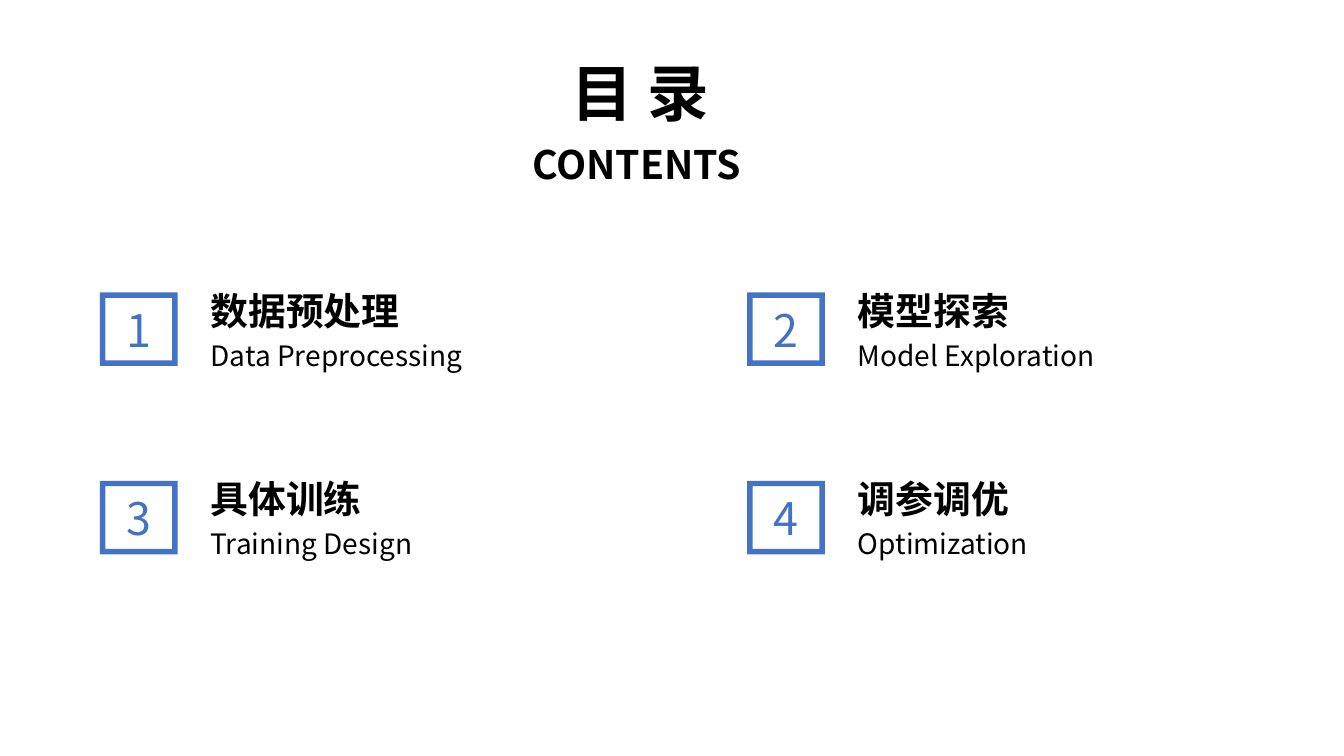
from lxml.etree import SubElement
from pptx import Presentation
from pptx.dml.color import RGBColor
from pptx.enum.shapes import MSO_SHAPE
from pptx.enum.text import MSO_ANCHOR, MSO_AUTO_SIZE, PP_ALIGN
from pptx.oxml.ns import qn
from pptx.util import Inches, Pt

COLORS = {"text": "000000", "accent": "4472C4"}
SANS, SERIF = "Noto Sans CJK SC", "Times New Roman"


class Deck:
    """Style and current slide; lengths are percentages of the slide's size."""

    def __init__(self, prs):
        self.prs = prs
        self.s = prs.slides.add_slide(prs.slide_layouts[6])

    def box(self, x, y, w, h):
        width, height = self.prs.slide_width, self.prs.slide_height
        return [round(share * side / 100) for share, side in
                ((x, width), (y, height), (w, width), (h, height))]

    def set_text(self, tf, text, size, color="text", font=SANS, bold=False):
        tf.text = text
        r = tf.paragraphs[0].runs[0]
        r.font.size, r.font.bold, r.font.name = Pt(size), bold, font
        r.font.color.rgb = RGBColor.from_string(COLORS[color])
        SubElement(r.font._element, qn("a:ea")).set("typeface", SANS)

    def label(self, x, y, w, h, text, size, **style):
        tf = self.s.shapes.add_textbox(*self.box(x, y, w, h)).text_frame
        self.set_text(tf, text, size, **style)
        tf.word_wrap = False
        tf.auto_size = MSO_AUTO_SIZE.SHAPE_TO_FIT_TEXT

    def number_frame(self, x, y, w, h, text):
        sp = self.s.shapes.add_shape(MSO_SHAPE.FRAME, *self.box(x, y, w, h))
        sp.adjustments[0] = 0.074
        sp.shadow.inherit = False
        sp.fill.solid()
        sp.fill.fore_color.rgb = RGBColor.from_string(COLORS["accent"])
        sp.line.fill.background()
        tf = sp.text_frame
        self.set_text(tf, text, 32, color="accent")
        tf.vertical_anchor = MSO_ANCHOR.MIDDLE
        tf.paragraphs[0].alignment = PP_ALIGN.CENTER


def main():
    prs = Presentation()
    prs.slide_width, prs.slide_height = Inches(13.33), Inches(7.5)
    deck = Deck(prs)
    deck.label(41.79, 6.67, 12.15, 11.2, "目 录", 44, bold=True)
    deck.label(38.86, 17.87, 18, 7.6, "CONTENTS", 28, bold=True)

    chapters = [
        ("数据预处理", 15.98, "Data Preprocessing", 20.93),
        ("模型探索", 13.05, "Model Exploration", 20.03),
        ("具体训练", 13.35, "Training Design", 17.18),
        ("调参调优", 13.05, "Optimization", 14.63),
    ]
    for i, (name, name_w, english, english_w) in enumerate(chapters):
        row, col = divmod(i, 2)
        x, y = 7.43 + 48.16 * col, 38.67 + 24.93 * row
        deck.number_frame(x, y, 5.78, 9.73, str(i + 1))
        deck.label(x + 7.5, y - 1.33, name_w, 7.47, name, 27,
                   font=SERIF, bold=True)
        deck.label(x + 7.5, y + 5.4, english_w, 5.87, english, 20)
    prs.save("out.pptx")


if __name__ == "__main__":
    main()
